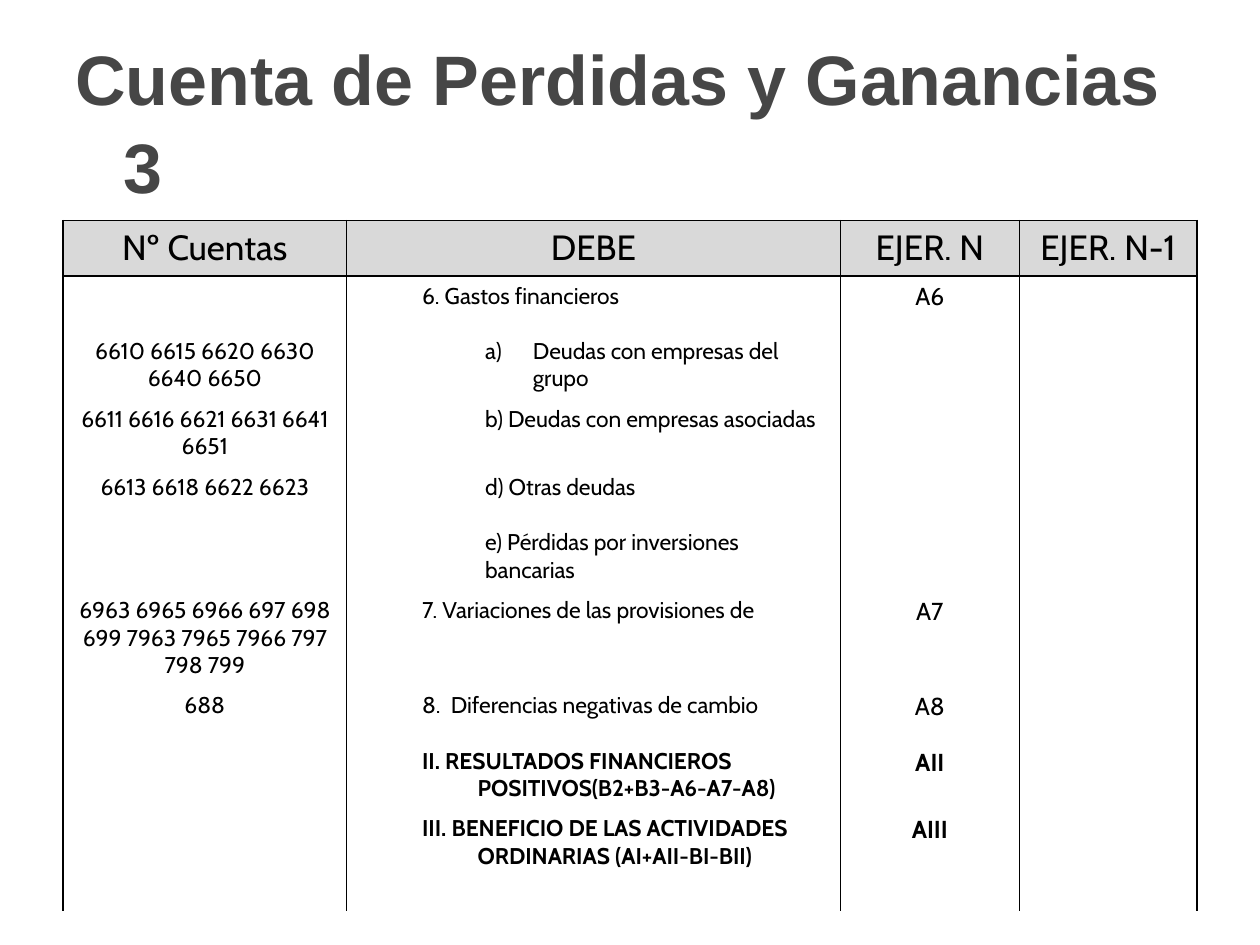
import dataclasses

import pptx
import pptx.dml.color
import pptx.enum.text
import pptx.oxml.ns
import pptx.util
from lxml import etree

Inches = pptx.util.Inches
Align = pptx.enum.text.PP_ALIGN


@dataclasses.dataclass(frozen=True)
class Theme:
    ink: str = "000000"
    title: str = "464646"
    head: str = "D9D9D9"
    sans: str = "Arial"
    body: str = "Cabin"
    big: int = 40
    mid: int = 20
    mark: int = 14
    small: int = 13


THEME = Theme()
WIDTHS = (2.25, 3.92, 1.42, 1.41)
HEIGHTS = (0.44, 0.44, 0.53, 0.54, 0.44, 0.54, 0.75, 0.44, 0.53, 0.81)
HEADS = ("Nº Cuentas", "DEBE", "EJER. N", "EJER. N-1")

ITEM = dict(left=0.5)
SUB = dict(left=1)
LIST = dict(left=1.38, hang=0.38, number="alphaLcParenR")
TOTAL = dict(left=0.94, hang=0.44, bold=True)

ROWS = (
    ("", "6. Gastos financieros", "A6", ITEM),
    ("6610 6615 6620 6630 6640 6650", "Deudas con empresas del grupo", "", LIST),
    ("6611 6616 6621 6631 6641 6651", "b) Deudas con empresas asociadas", "", SUB),
    ("6613 6618 6622 6623", "d) Otras deudas", "", SUB),
    ("", "e) Pérdidas por inversiones bancarias", "", SUB),
    ("6963 6965 6966 697 698 699 7963 7965 7966 797 798 799",
     "7. Variaciones de las provisiones de", "A7", ITEM),
    ("688", "8.  Diferencias negativas de cambio", "A8", ITEM),
    ("", "II. RESULTADOS FINANCIEROS POSITIVOS(B2+B3-A6-A7-A8)", "AII", TOTAL),
    ("", "III. BENEFICIO DE LAS ACTIVIDADES ORDINARIAS (AI+AII-BI-BII)", "AIII", TOTAL),
)


def color(code):
    return pptx.dml.color.RGBColor.from_string(code)


def add_tag(parent, name, **attrs):
    return etree.SubElement(parent, pptx.oxml.ns.qn(name), attrs)


def write(frame, text, size=THEME.small, font=THEME.body, ink=THEME.ink,
          bold=False, align=Align.LEFT, left=0, hang=0, number=None, space=None):
    para = frame.paragraphs[0]
    para.alignment = align
    para.line_spacing = space
    props = para._p.get_or_add_pPr()
    props.set("marL", str(Inches(left)))
    props.set("indent", str(-Inches(hang)))
    if number:
        add_tag(props, "a:buFont", typeface=font)
        add_tag(props, "a:buAutoNum", type=number)
    face = para.font
    if text:
        run = para.add_run()
        run.text = text
        face = run.font
    face.size = pptx.util.Pt(size)
    face.name = font
    face.bold = bold
    face.color.rgb = color(ink)


def edge(cell, shown):
    props = cell._tc.get_or_add_tcPr()
    for side in "LRTB":
        line = add_tag(props, "a:ln" + side, w=str(pptx.util.Pt(1)))
        if side in shown:
            fill = add_tag(line, "a:solidFill")
            add_tag(fill, "a:srgbClr", val=THEME.ink)
        else:
            add_tag(line, "a:noFill")


def fill_cell(cell, text, sides, back=None, **form):
    edge(cell, sides)
    if back:
        cell.fill.solid()
        cell.fill.fore_color.rgb = color(back)
    else:
        cell.fill.background()
    write(cell.text_frame, text, **form)


def add_title(slide, text):
    box = slide.shapes.add_textbox(Inches(0.5), Inches(0.32), Inches(9), Inches(1.25))
    frame = box.text_frame
    frame.word_wrap = True
    frame.vertical_anchor = pptx.enum.text.MSO_ANCHOR.MIDDLE
    write(frame, text, size=THEME.big, font=THEME.sans, ink=THEME.title,
          bold=True, left=0.38, hang=0.38, space=1.05)


def add_grid(slide):
    shape = slide.shapes.add_table(
        len(HEIGHTS), len(WIDTHS), Inches(0.5), Inches(1.75),
        Inches(sum(WIDTHS)), Inches(sum(HEIGHTS)))
    table = shape.table
    table.first_row = False
    table.horz_banding = False
    for col, width in zip(table.columns, WIDTHS):
        col.width = Inches(width)
    for row, height in zip(table.rows, HEIGHTS):
        row.height = Inches(height)
    for col, text in enumerate(HEADS):
        fill_cell(table.cell(0, col), text, "LRTB", back=THEME.head,
                  size=THEME.mid, align=Align.CENTER)
    for row, (codes, label, mark, form) in enumerate(ROWS, 1):
        sides = "LRT" if row == 1 else "LR"
        bold = form.get("bold", False)
        fill_cell(table.cell(row, 0), codes, sides, align=Align.CENTER)
        fill_cell(table.cell(row, 1), label, sides, **form)
        fill_cell(table.cell(row, 2), mark, sides, size=THEME.mark,
                  bold=bold, align=Align.CENTER)
        fill_cell(table.cell(row, 3), "", sides)


def main():
    deck = pptx.Presentation()
    deck.slide_width = Inches(10)
    deck.slide_height = Inches(7.5)
    slide = deck.slides.add_slide(deck.slide_layouts[6])
    add_grid(slide)
    add_title(slide, "Cuenta de Perdidas y Ganancias 3")
    deck.save("out.pptx")


main()
